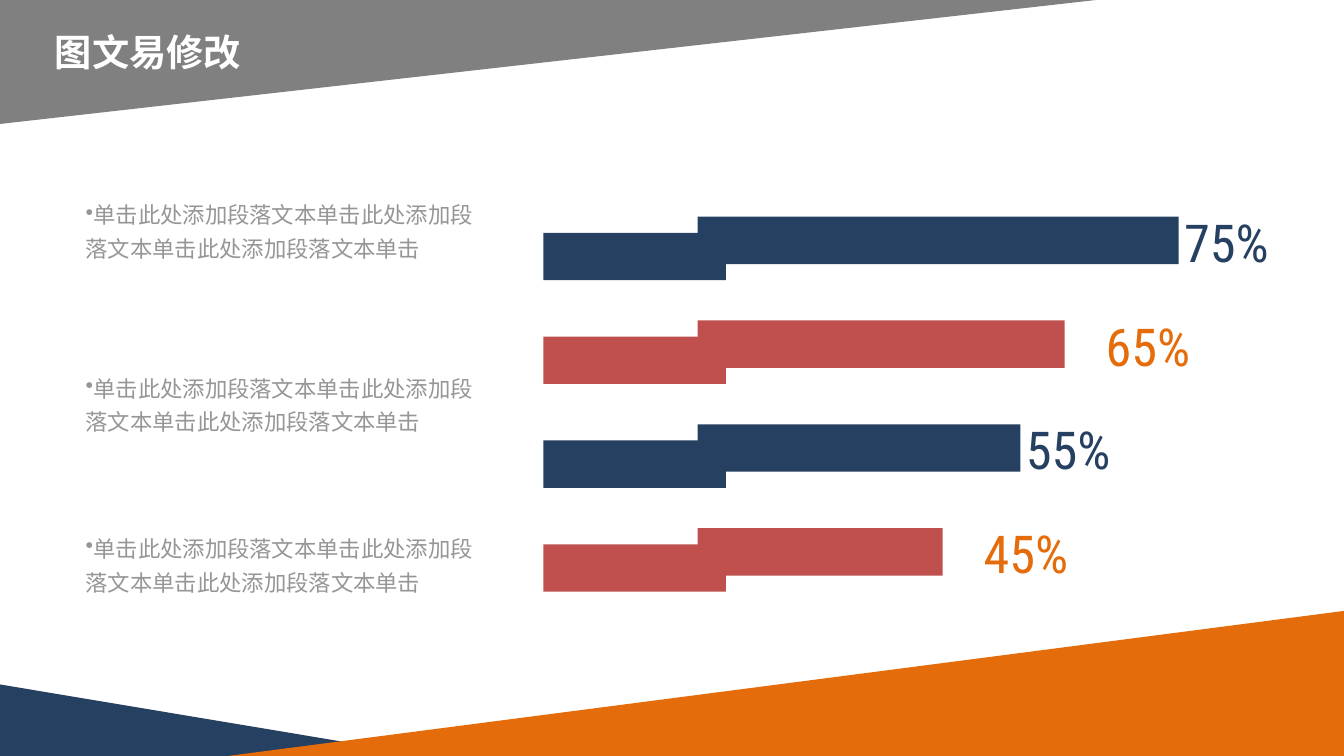
from lxml.etree import SubElement
from pptx import Presentation
from pptx.dml.color import RGBColor
from pptx.enum.shapes import MSO_SHAPE
from pptx.enum.text import MSO_ANCHOR, PP_ALIGN
from pptx.oxml.ns import qn
from pptx.util import Inches, Pt

NAVY, RED, ORANGE = "254061", "C0504D", "E46C0A"
GRAY, TEXT_GRAY, WHITE = "808080", "969696", "FFFFFF"
BODY_FONT, NUMBER_FONT = "Noto Sans CJK SC", "Roboto Condensed"


def color(value):
    return RGBColor.from_string(value)


class SlideBuilder:
    title_format = {"name": BODY_FONT, "size": Pt(26.6), "bold": True}
    body_format = {"name": BODY_FONT, "size": Pt(16)}
    number_format = {"name": NUMBER_FONT, "size": Pt(37.3)}

    def __init__(self, page):
        self.page = page

    def shape(self, kind, bounds, fill, rotation=0, flip=False):
        shape = self.page.shapes.add_shape(kind, *map(Inches, bounds))
        shape.shadow.inherit = False
        shape.fill.solid()
        shape.fill.fore_color.rgb = color(fill)
        shape.line.fill.background()
        shape.rotation = rotation
        if flip:
            shape._element.spPr.xfrm.set("flipH", "1")
        return shape

    def text(self, bounds, words, format_values, ink, fill=None, inset=True,
             align=PP_ALIGN.CENTER, spacing=None, bullet=None):
        box = self.page.shapes.add_textbox(*map(Inches, bounds))
        if fill:
            box.fill.solid()
            box.fill.fore_color.rgb = color(fill)
        frame = box.text_frame
        frame.word_wrap = True
        frame.vertical_anchor = MSO_ANCHOR.MIDDLE
        if not inset:
            for side in ("left", "top", "right", "bottom"):
                setattr(frame, f"margin_{side}", 0)
        para = frame.paragraphs[0]
        para.alignment = align
        if spacing:
            para.line_spacing = spacing
        if bullet:
            SubElement(para._p.get_or_add_pPr(), qn("a:buChar")).set("char", bullet)
        span = para.add_run()
        span.text = words
        for name, value in format_values.items():
            setattr(span.font, name, value)
        span.font.color.rgb = color(ink)
        for tag in ("a:ea", "a:cs"):
            SubElement(span.font._element, qn(tag)).set("typeface", format_values["name"])
        return box

    def bar(self, row, width, label_left, label, fill, ink, label_fill):
        drop = 1.03 * row
        self.shape(MSO_SHAPE.RECTANGLE, (5.39, 2.31 + drop, 1.81, 0.47), fill)
        self.shape(MSO_SHAPE.RECTANGLE, (6.92, 2.15 + drop, width, 0.47), fill)
        self.text((label_left, 2.03 + drop, 1.65, 0.73), label,
                  self.number_format, ink, label_fill)


def main():
    deck = Presentation()
    deck.slide_width, deck.slide_height = Inches(13.33), Inches(7.5)
    builder = SlideBuilder(deck.slides.add_slide(deck.slide_layouts[6]))

    triangle = MSO_SHAPE.RIGHT_TRIANGLE
    builder.shape(triangle, (0, 6.79, 4.25, 0.71), NAVY)
    builder.shape(triangle, (2.26, 6.06, 11.08, 1.44), ORANGE, flip=True)
    builder.shape(triangle, (0, 0, 10.87, 1.23), GRAY, rotation=180, flip=True)

    bars = [(4.77, 11.34, "75%"), (3.99, 10.56, "65%"),
            (3.2, 9.77, "55%"), (2.73, 9.35, "45%")]
    schemes = [(NAVY, NAVY, None), (RED, ORANGE, WHITE)]
    for row, bar in enumerate(bars):
        builder.bar(row, *bar, *schemes[row % 2])

    sentence = "单击此处添加段落文本" * 3 + "单击"
    for top in (1.81, 3.53, 5.12):
        builder.text((0.75, top, 4.07, 0.91), sentence, builder.body_format,
                     TEXT_GRAY, align=PP_ALIGN.LEFT, spacing=1.25, bullet="•")

    builder.text((0, 0.29, 2.94, 0.45), "图文易修改", builder.title_format,
                 WHITE, inset=False)
    deck.save("out.pptx")


if __name__ == "__main__":
    main()
